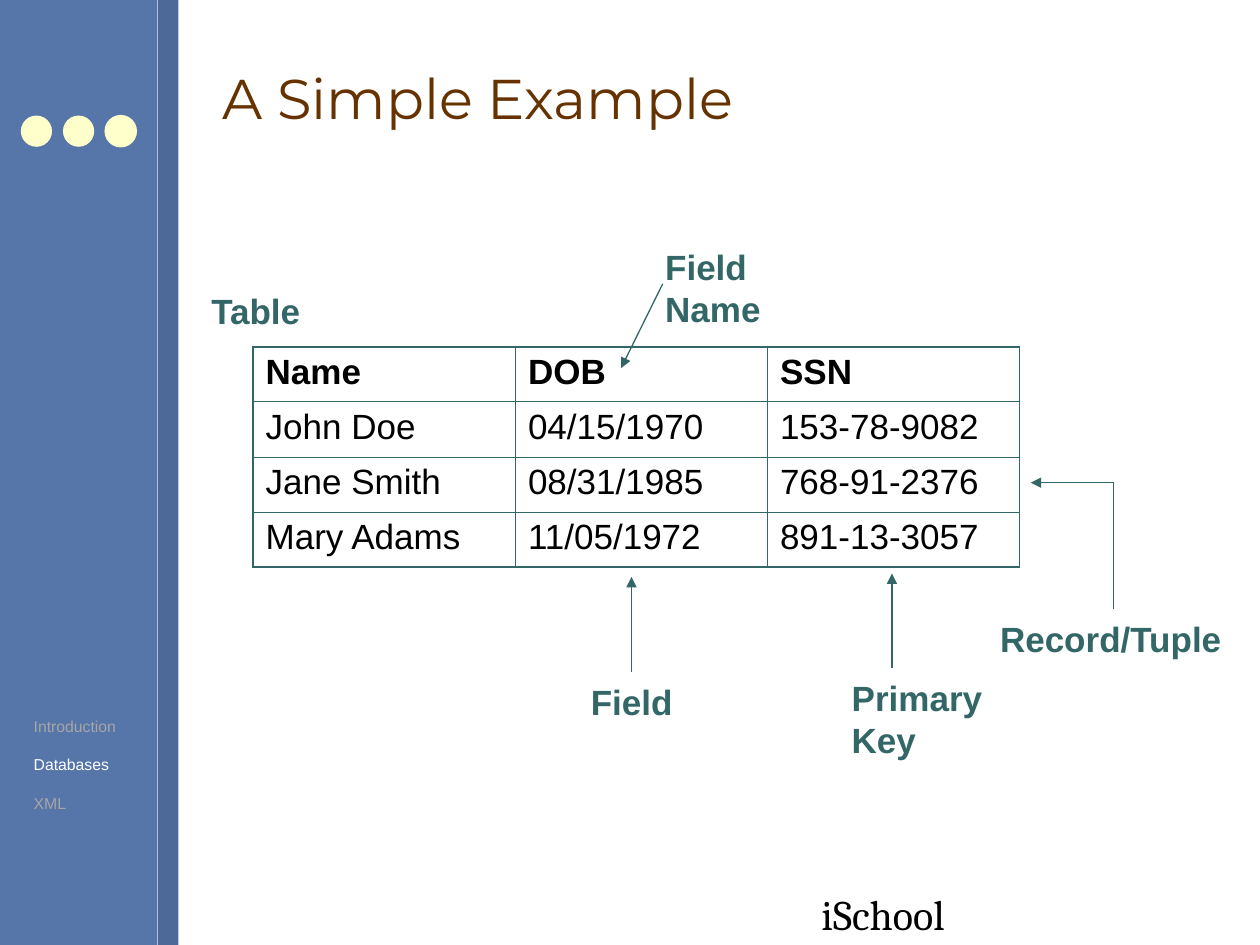
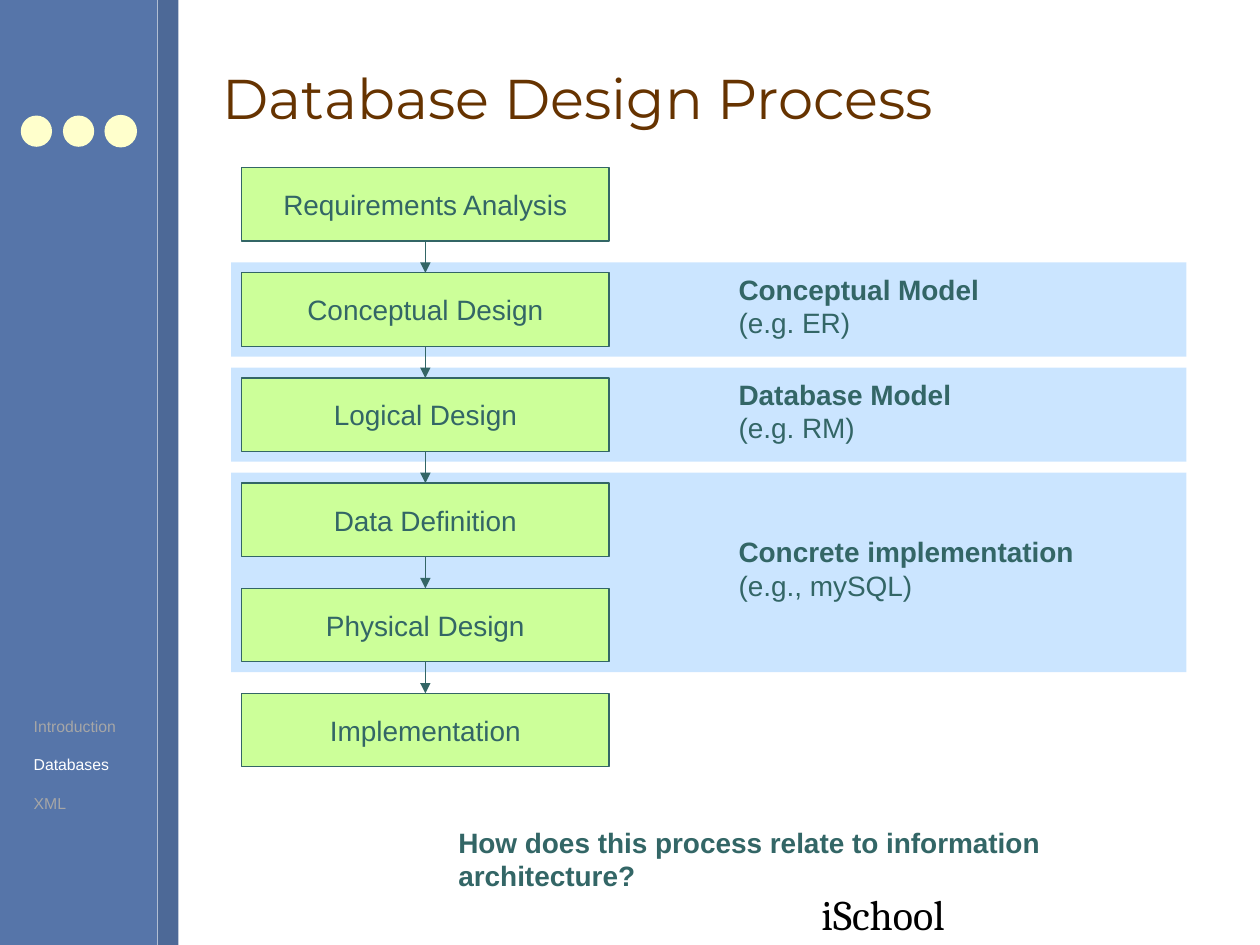
from lxml.etree import SubElement
from pptx import Presentation
from pptx.dml.color import RGBColor
from pptx.enum.shapes import MSO_CONNECTOR, MSO_SHAPE
from pptx.enum.text import MSO_ANCHOR, MSO_AUTO_SIZE, PP_ALIGN
from pptx.oxml.ns import qn
from pptx.util import Cm, Pt

WHITE = RGBColor(0xFF, 0xFF, 0xFF)
BLACK = RGBColor(0x00, 0x00, 0x00)
BLUE = RGBColor(0x56, 0x75, 0xA9)
DARK_BLUE = RGBColor(0x4D, 0x69, 0x97)
CREAM = RGBColor(0xFF, 0xFF, 0xCC)
BROWN = RGBColor(0x66, 0x33, 0x00)
TEAL = RGBColor(0x33, 0x66, 0x66)
GREY = RGBColor(0xA6, 0xA6, 0xA6)
LIME = RGBColor(0xCC, 0xFF, 0x99)
SKY = RGBColor(0x99, 0xCC, 0xFF)

BODY_FONT = "Arial"
TITLE_FONT = "Montserrat"
FOOTER_FONT = "Cambria"

SECTIONS = ["Introduction", "Databases", "XML"]
CURRENT_SECTION = "Databases"
FOOTER = "iSchool"

EXAMPLE_TITLE = "A Simple Example"
PEOPLE = [
    ("Name", "DOB", "SSN"),
    ("John Doe", "04/15/1970", "153-78-9082"),
    ("Jane Smith", "08/31/1985", "768-91-2376"),
    ("Mary Adams", "11/05/1972", "891-13-3057"),
]
COLUMN_WIDTHS = [5.29, 5.08, 5.08]
ROW_HEIGHT = 1.11
TABLE_LABELS = [
    ("Field", 11.66, 13.59, 2.16),
    ("Field Name", 13.16, 4.83, 4.27),
    ("Record/Tuple", 19.91, 12.32, 5.03),
    ("Primary Key", 16.92, 13.51, 4.62),
    ("Table", 4.01, 5.72, 2.34),
]
TABLE_POINTERS = [
    ((12.73, 13.54), (12.73, 11.63), True),
    ((13.36, 5.72), (12.52, 7.42), True),
    ((22.45, 9.73), (20.78, 9.73), True),
    ((22.45, 9.73), (22.45, 12.27), False),
    ((17.98, 13.46), (17.98, 11.56), True),
]

PROCESS_TITLE = "Database Design Process"
STEPS = [
    "Requirements Analysis",
    "Conceptual Design",
    "Logical Design",
    "Data Definition",
    "Physical Design",
    "Implementation",
]
MODELS = [
    ("Conceptual Model", "(e.g. ER)", 1, 1, 5.36),
    ("Database Model", "(e.g. RM)", 2, 2, 4.8),
    ("Concrete implementation", "(e.g., mySQL)", 3, 4, 7.26),
]
QUESTION = "How does this process relate to information architecture?"
STEP_LEFT, STEP_TOP, STEP_WIDTH, STEP_HEIGHT = 4.87, 3.38, 7.41, 1.48
STEP_PITCH = 2.12
BAND_PADDING = 0.21
BAND_WIDTH = 19.26


def add_span(para, text, size, color, font=BODY_FONT, bold=False):
    span = para.add_run()
    span.text = text
    span.font.name = font
    span.font.size = Pt(size)
    span.font.bold = bold
    span.font.color.rgb = color


def add_block(page, kind, left, top, width, height, fill, line=None):
    block = page.shapes.add_shape(kind, Cm(left), Cm(top), Cm(width), Cm(height))
    block.shadow.inherit = False
    block.fill.solid()
    block.fill.fore_color.rgb = fill
    if line is None:
        block.line.fill.background()
    else:
        block.line.color.rgb = line
        block.line.width = Pt(0.75)
    return block


def add_label(page, lines, left, top, width, height, size, color=TEAL, font=BODY_FONT):
    box = page.shapes.add_textbox(Cm(left), Cm(top), Cm(width), Cm(height))
    frame = box.text_frame
    frame.word_wrap = False
    frame.auto_size = MSO_AUTO_SIZE.SHAPE_TO_FIT_TEXT
    for index, (text, bold) in enumerate(lines):
        para = frame.add_paragraph() if index else frame.paragraphs[0]
        add_span(para, text, size, color, font, bold)


def add_line(page, start=(0, 0), end=(0, 0), arrow=True):
    points = [Cm(value) for value in (*start, *end)]
    line = page.shapes.add_connector(MSO_CONNECTOR.STRAIGHT, *points)
    line.line.color.rgb = TEAL
    line.line.width = Pt(0.75)
    properties = line.element.spPr
    if arrow:
        SubElement(properties.find(qn("a:ln")), qn("a:tailEnd"), type="triangle")
    SubElement(properties, qn("a:effectLst"))
    return line


def add_section_list(page):
    box = page.shapes.add_textbox(Cm(0.43), Cm(14.33), Cm(2.16), Cm(2.16))
    frame = box.text_frame
    frame.word_wrap = False
    for index, section in enumerate(SECTIONS):
        para = frame.add_paragraph() if index else frame.paragraphs[0]
        if index:
            para.space_before = Pt(11)
        add_span(para, section, 9, WHITE if section == CURRENT_SECTION else GREY)


def add_page(deck, title):
    page = deck.slides.add_slide(deck.slide_layouts[5])
    heading = page.shapes.title
    heading.left, heading.top = Cm(4.23), Cm(0.53)
    heading.width, heading.height = Cm(20.32), Cm(2.87)
    heading.text_frame.vertical_anchor = MSO_ANCHOR.MIDDLE
    para = heading.text_frame.paragraphs[0]
    para.alignment = PP_ALIGN.LEFT
    add_span(para, title, 32, BROWN, TITLE_FONT)

    add_block(page, MSO_SHAPE.RECTANGLE, 0, 0, 3.17, 19.05, BLUE)
    add_block(page, MSO_SHAPE.RECTANGLE, 3.18, 0, 0.42, 19.05, DARK_BLUE)
    for index, outline in enumerate((None, None, CREAM)):
        add_block(page, MSO_SHAPE.OVAL, 0.42 + 0.85 * index, 2.33, 0.63, 0.63, CREAM, outline)
    add_label(page, [(FOOTER, False)], 16.31, 17.78, 3.23, 1.27, 24, BLACK, FOOTER_FONT)
    add_section_list(page)
    return page


def set_borders(cell, outer_sides):
    properties = cell._tc.get_or_add_tcPr()
    for side in "LRTB":
        width = Pt(1.08 if side in outer_sides else 0.45)
        border = SubElement(properties, qn(f"a:ln{side}"), w=str(int(width)))
        fill = SubElement(border, qn("a:solidFill"))
        SubElement(fill, qn("a:srgbClr"), val=str(TEAL))


def add_people_table(page):
    rows, columns = len(PEOPLE), len(COLUMN_WIDTHS)
    holder = page.shapes.add_table(
        rows, columns, Cm(5.1), Cm(6.99), Cm(sum(COLUMN_WIDTHS)), Cm(ROW_HEIGHT * rows)
    )
    table = holder.table
    table.first_row = False
    table.horz_banding = False
    for column, width in zip(table.columns, COLUMN_WIDTHS):
        column.width = Cm(width)
    for r, person in enumerate(PEOPLE):
        table.rows[r].height = Cm(ROW_HEIGHT)
        for c, text in enumerate(person):
            cell = table.cell(r, c)
            edges = {"L": c == 0, "R": c == columns - 1, "T": r == 0, "B": r == rows - 1}
            set_borders(cell, [side for side, outer in edges.items() if outer])
            cell.fill.background()
            add_span(cell.text_frame.paragraphs[0], text, 20, BLACK, bold=r == 0)


def build_example(deck):
    page = add_page(deck, EXAMPLE_TITLE)
    add_people_table(page)
    for start, end, arrow in TABLE_POINTERS:
        add_line(page, start, end, arrow)
    for text, left, top, width in TABLE_LABELS:
        add_label(page, [(text, True)], left, top, width, 1.12, 20)


def step_top(index):
    return STEP_TOP + STEP_PITCH * index


def build_process(deck):
    page = add_page(deck, PROCESS_TITLE)
    for model, example, first, last, width in MODELS:
        top = step_top(first) - BAND_PADDING
        height = step_top(last) + STEP_HEIGHT + BAND_PADDING - top
        band = add_block(
            page, MSO_SHAPE.RECTANGLE, STEP_LEFT - BAND_PADDING, top, BAND_WIDTH, height, SKY
        )
        color = band.element.spPr.find(qn("a:solidFill")).find(qn("a:srgbClr"))
        SubElement(color, qn("a:alpha"), val="50000")
        lines = [(model, True), (example, False)]
        add_label(page, lines, 14.64, top + height / 2 - 0.88, width, 1.63, 16)

    boxes = []
    for index, step in enumerate(STEPS):
        box = add_block(
            page, MSO_SHAPE.RECTANGLE, STEP_LEFT, step_top(index),
            STEP_WIDTH, STEP_HEIGHT, LIME, TEAL,
        )
        box.text_frame.vertical_anchor = MSO_ANCHOR.MIDDLE
        para = box.text_frame.paragraphs[0]
        para.alignment = PP_ALIGN.CENTER
        add_span(para, step, 16, TEAL)
        boxes.append(box)
    for upper, lower in zip(boxes, boxes[1:]):
        arrow = add_line(page)
        arrow.begin_connect(upper, 2)
        arrow.end_connect(lower, 0)

    add_label(page, [(QUESTION, True)], 8.99, 16.51, 15.95, 0.94, 16)


def main():
    deck = Presentation()
    deck.slide_width, deck.slide_height = Cm(25.4), Cm(19.05)
    build_example(deck)
    build_process(deck)
    deck.save("out.pptx")


if __name__ == "__main__":
    main()
